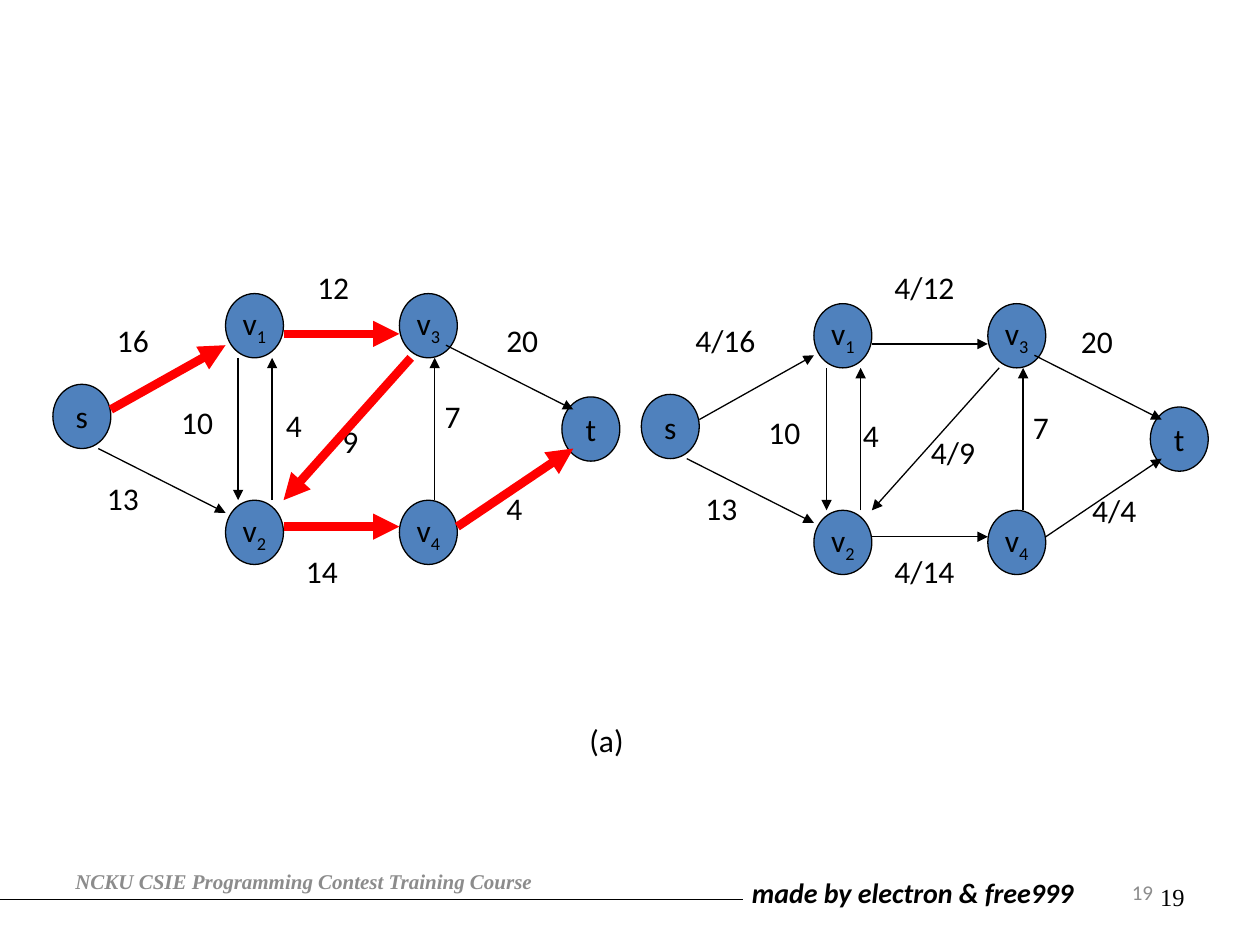
from dataclasses import dataclass

import pptx
import pptx.dml.color
import pptx.enum.shapes
import pptx.enum.text
import pptx.oxml
import pptx.oxml.ns
import pptx.util
from pptx.util import Inches

BLACK, RED, BLUE, GREY = "000000", "FF0000", "4F81BD", "8C8C8C"
NODE_W, NODE_H = 0.46, 0.51
ALIGN = pptx.enum.text.PP_ALIGN
ANCHOR = pptx.enum.text.MSO_ANCHOR


@dataclass
class Node:
    """A vertex of the network, placed by its top left corner."""
    name: str
    index: str
    x: float
    y: float


@dataclass
class Edge:
    """A directed edge; edges on the path may be highlighted."""
    x1: float
    y1: float
    x2: float
    y2: float
    on_path: bool = False


@dataclass
class Label:
    """A text box with its character format."""
    text: str
    x: float
    y: float
    w: float
    h: float = 0.5
    size: int = 18
    font: str = "Calibri"
    color: str = BLACK
    bold: bool = False
    align: ALIGN = ALIGN.LEFT
    anchor: ANCHOR = ANCHOR.TOP
    wrap: bool = False


NODES = [
    Node("s", "", 0.42, 3.05),
    Node("v", "1", 1.79, 2.33),
    Node("v", "2", 1.79, 3.97),
    Node("v", "3", 3.17, 2.33),
    Node("v", "4", 3.17, 3.97),
    Node("t", "", 4.46, 3.15),
]
EDGES = [
    Edge(0.88, 3.25, 1.79, 2.74, True),
    Edge(2.25, 2.65, 3.17, 2.65, True),
    Edge(3.26, 2.84, 2.25, 3.97, True),
    Edge(2.25, 4.18, 3.17, 4.18, True),
    Edge(3.63, 4.18, 4.55, 3.56, True),
    Edge(3.54, 2.74, 4.55, 3.25),
    Edge(0.78, 3.56, 1.79, 4.07),
    Edge(1.89, 2.84, 1.89, 3.97),
    Edge(2.16, 3.97, 2.16, 2.84),
    Edge(3.45, 3.97, 3.45, 2.84),
]
CAPACITIES = [
    Label("16", 0.83, 2.5, 0.53), Label("12", 2.42, 2.08, 0.53),
    Label("20", 3.92, 2.5, 0.53), Label("13", 0.75, 3.75, 0.53),
    Label("10", 1.34, 3.15, 0.53), Label("4", 2.17, 3.17, 0.37),
    Label("9", 2.62, 3.3, 0.64), Label("7", 3.43, 3.1, 0.37),
    Label("4", 3.92, 3.83, 0.37), Label("14", 2.33, 4.33, 0.53),
]
FLOWS = [
    Label("4/16", 5.42, 2.5, 0.79), Label("4/12", 7, 2.08, 0.79),
    Label("20", 8.48, 2.51, 0.53), Label("13", 5.5, 3.83, 0.53),
    Label("10", 6, 3.23, 0.53), Label("4", 6.75, 3.25, 0.37),
    Label("4/9", 7.29, 3.39, 0.64), Label("7", 8.1, 3.19, 0.37),
    Label("4/4", 8.57, 3.85, 0.63), Label("4/14", 7, 4.33, 0.79),
]
FOOTERS = [
    Label("made by electron & free999", 5.87, 6.9, 2.96, 0.37, 16,
          bold=True, wrap=True),
    Label("19", 7.17, 6.95, 2.33, 0.4, 14, "Times New Roman",
          align=ALIGN.RIGHT, wrap=True),
    Label("NCKU CSIE Programming Contest Training Course", 0.5, 6.79, 3.87, 0.4,
          12, "Times New Roman", GREY, True, anchor=ANCHOR.MIDDLE, wrap=True),
    Label("19", 7.17, 6.83, 2.08, 0.5, 12, color=GREY,
          align=ALIGN.RIGHT, anchor=ANCHOR.MIDDLE, wrap=True),
]


def rgb(color: str) -> pptx.dml.color.RGBColor:
    """Turn a hex string into a colour."""
    return pptx.dml.color.RGBColor.from_string(color)


def format_run(r, size: int, font: str, color: str, bold: bool = False) -> None:
    """Set the character format; bold text is italic as well."""
    r.font.size, r.font.name = pptx.util.Pt(size), font
    r.font.color.rgb = rgb(color)
    r.font.bold = r.font.italic = bold


def add_label(shapes, label: Label) -> None:
    """Draw a text box."""
    sp = shapes.add_textbox(Inches(label.x), Inches(label.y),
                            Inches(label.w), Inches(label.h))
    tf = sp.text_frame
    tf.text, tf.word_wrap = label.text, label.wrap
    tf.vertical_anchor = label.anchor
    p = tf.paragraphs[0]
    p.alignment = label.align
    format_run(p.runs[0], label.size, label.font, label.color, label.bold)


def add_node(shapes, node: Node, dx: float, dy: float) -> None:
    """Draw a vertex with its subscripted name."""
    sp = shapes.add_shape(pptx.enum.shapes.MSO_SHAPE.OVAL,
                          Inches(node.x + dx), Inches(node.y + dy),
                          Inches(NODE_W), Inches(NODE_H))
    sp.shadow.inherit = False
    sp.fill.solid()
    sp.fill.fore_color.rgb = rgb(BLUE)
    sp.line.color.rgb, sp.line.width = rgb(BLACK), pptx.util.Pt(0.75)
    tf = sp.text_frame
    tf.word_wrap, tf.vertical_anchor = False, ANCHOR.MIDDLE
    p = tf.paragraphs[0]
    p.alignment = ALIGN.CENTER
    for text, baseline in ((node.name, 0), (node.index, -25000)):
        if text:
            r = p.add_run()
            r.text = text
            format_run(r, 18, "Calibri", BLACK)
            r.font._element.set("baseline", str(baseline))


def add_line(shapes, x1: float, y1: float, x2: float, y2: float,
             color: str, width: float, arrow: bool = True) -> None:
    """Draw a straight line, with an arrowhead at its end if asked."""
    line = shapes.add_connector(pptx.enum.shapes.MSO_CONNECTOR.STRAIGHT,
                                Inches(x1), Inches(y1), Inches(x2), Inches(y2))
    line.line.color.rgb, line.line.width = rgb(color), pptx.util.Pt(width)
    if arrow:
        head = pptx.oxml.ns.qn("a:tailEnd")
        line.line._get_or_add_ln().append(pptx.oxml.xmlchemy.OxmlElement("a:tailEnd"))
        line.line._get_or_add_ln().find(head).set("type", "triangle")
    line._element.spPr.append(pptx.oxml.xmlchemy.OxmlElement("a:effectLst"))


def add_network(shapes, labels: list[Label], dx: float, dy: float,
                highlight: bool) -> None:
    """Draw the whole network, shifted, with its edge labels."""
    for label in labels:
        add_label(shapes, label)
    for node in NODES:
        add_node(shapes, node, dx, dy)
    for e in EDGES:
        color, width = (RED, 5) if highlight and e.on_path else (BLACK, 0.75)
        add_line(shapes, e.x1 + dx, e.y1 + dy, e.x2 + dx, e.y2 + dy, color, width)


prs = pptx.Presentation()
prs.slide_width, prs.slide_height = Inches(10), Inches(7.5)
s = prs.slides.add_slide(prs.slide_layouts[6])
add_line(s.shapes, 0, 7.14, 5.9, 7.14, BLACK, 0.5, arrow=False)
for footer in FOOTERS:
    add_label(s.shapes, footer)
add_network(s.shapes, CAPACITIES, 0, 0, highlight=True)
add_network(s.shapes.add_group_shape().shapes, FLOWS, 4.67, 0.08, highlight=False)
add_label(s.shapes, Label("(a)", 4.58, 5.67, 0.57))
prs.save("out.pptx")
